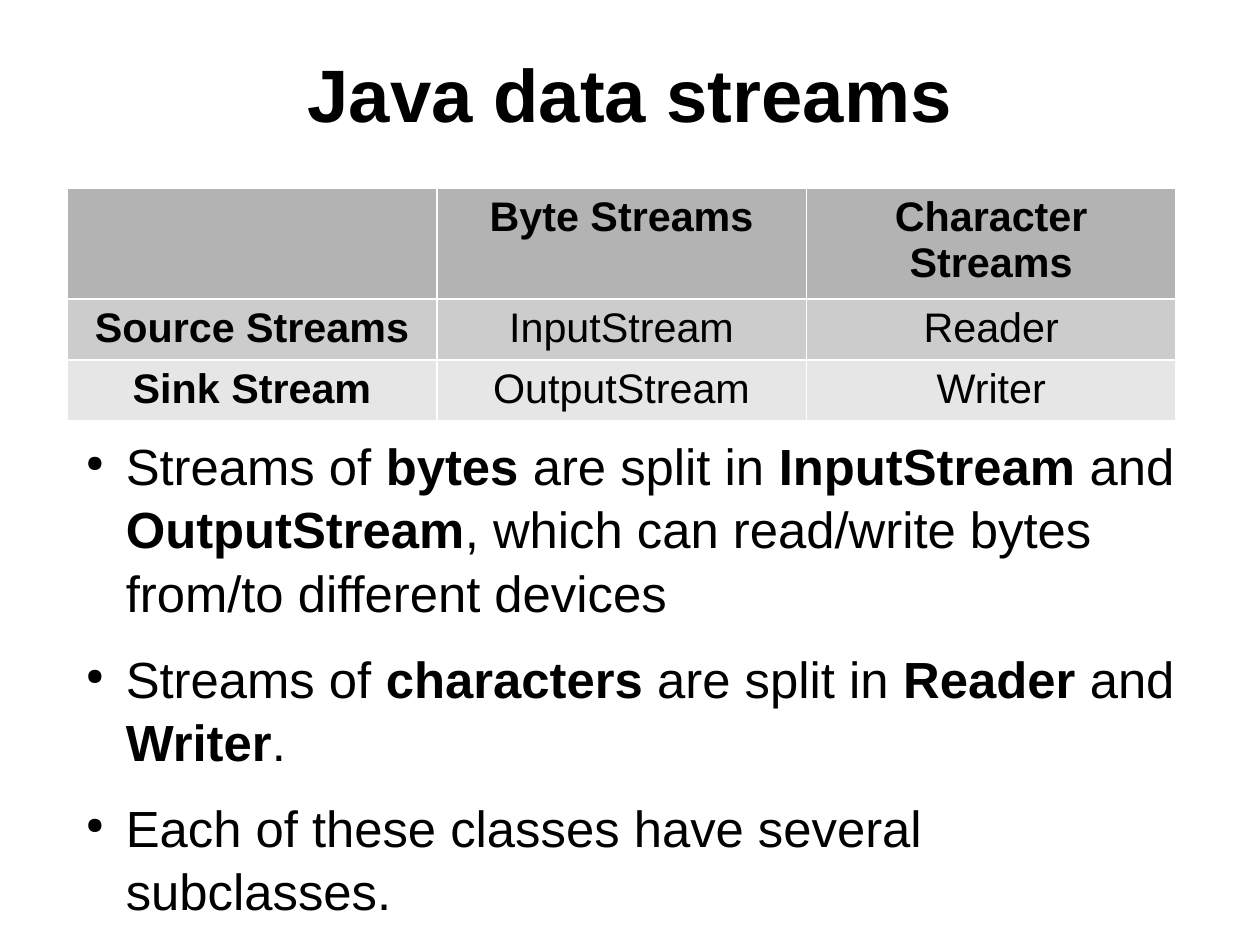
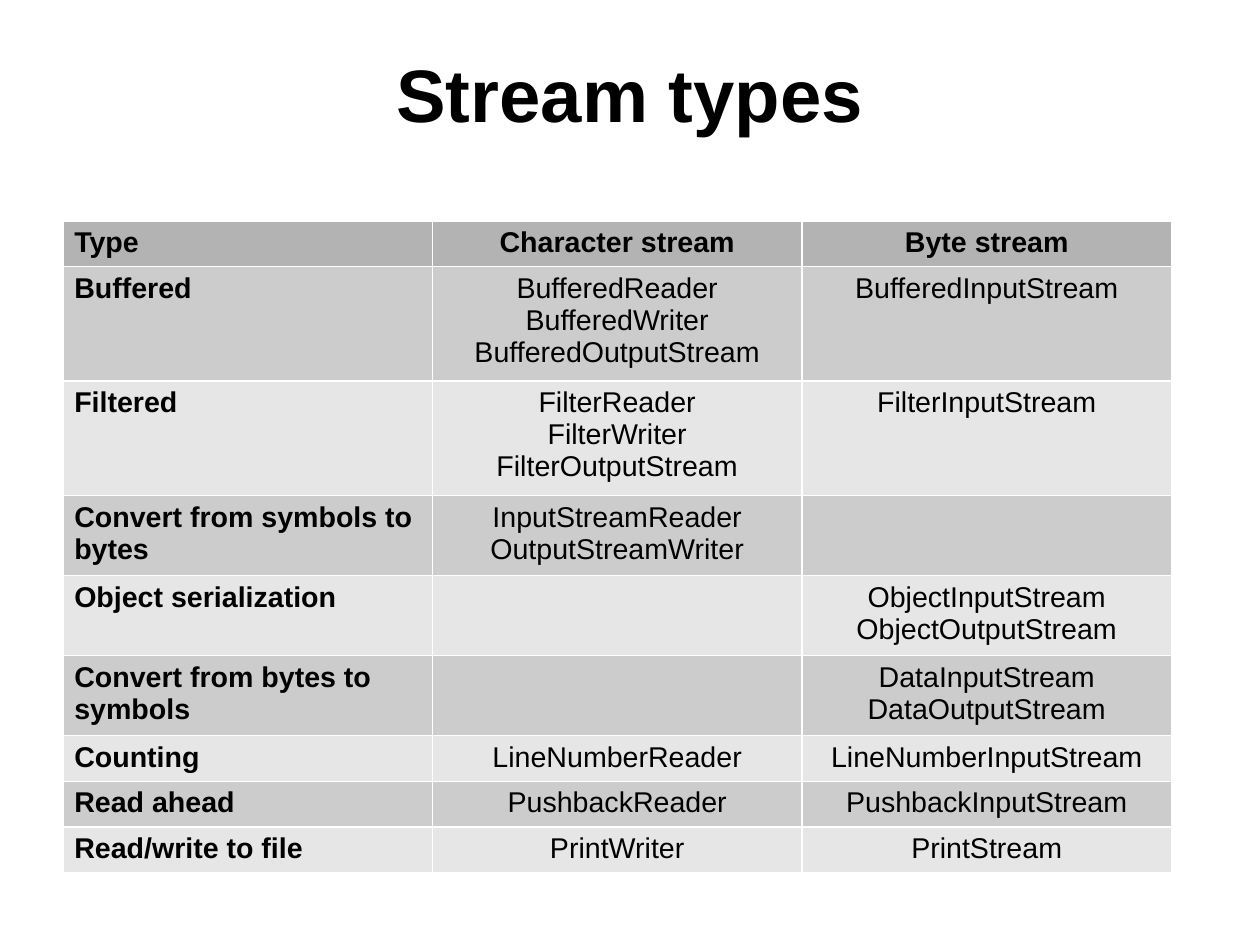
from dataclasses import dataclass
from typing import Any

from lxml import etree
from pptx import Presentation
from pptx.dml.color import RGBColor
from pptx.enum.text import MSO_ANCHOR, PP_ALIGN
from pptx.oxml.ns import qn
from pptx.util import Pt

CENTER, LEFT = PP_ALIGN.CENTER, PP_ALIGN.LEFT
MIDDLE, TOP = MSO_ANCHOR.MIDDLE, MSO_ANCHOR.TOP

# Shared look
FONT = "Arial"
INK, HEADER_FILL = "000000", "B3B3B3"
BAND_FILLS = ("CCCCCC", "E6E6E6")
SLIDE_WIDTH, SLIDE_HEIGHT = 793.7, 595.3
TITLE_SIZE, BODY_SIZE = 46.8, 32
CELL_MARGINS = {"margin_left": Pt(7.2), "margin_right": Pt(7.2),
                "margin_top": Pt(3.6), "margin_bottom": Pt(3.6)}
FRAME_FORMAT = {"word_wrap": True, "margin_left": 0, "margin_right": 0,
                "margin_top": 0, "margin_bottom": 0}
BULLET_SPACING = {"space_after": Pt(14.2), "line_spacing": 1.04}


@dataclass(frozen=True)
class Box:
    left: float
    top: float
    width: float
    height: float


@dataclass(frozen=True)
class StreamTable:
    left: float
    top: float
    size: float
    line_height: float
    label_align: Any
    rows: tuple[tuple[str, ...], ...]
    column_width: float = 232.8

    def row_height(self, row: tuple[str, ...]) -> float:
        """Header and label texts that wrap take two lines."""
        wrapped = any(len(text) > 24 or text == "Character Streams" for text in row
                      if "\n" not in text)
        lines = max(text.count("\n") + 1 for text in row)
        return self.line_height * max(lines, 1 + wrapped) + 7.2


TITLE_BOX = Box(39.6, 23.8, 714.2, 69.8)
BULLETS_BOX = Box(45.4, 272.2, 698.4, 315)


def color(hex_value: str) -> RGBColor:
    return RGBColor.from_string(hex_value)


def apply(target: Any, values: dict[str, Any]) -> None:
    for name, value in values.items():
        setattr(target, name, value)


def add_runs(paragraph: Any, text: str, size: float, bold: bool = False) -> None:
    """Write text; parts between ** marks are bold."""
    for index, part in enumerate(text.split("**")):
        if part:
            run = paragraph.add_run()
            run.text = part
            apply(run.font, {"name": FONT, "size": Pt(size),
                             "bold": bold or index % 2 == 1})
            run.font.color.rgb = color(INK)


def add_frame(slide: Any, box: Box, anchor: Any) -> Any:
    frame = slide.shapes.add_textbox(
        Pt(box.left), Pt(box.top), Pt(box.width), Pt(box.height)).text_frame
    apply(frame, {**FRAME_FORMAT, "vertical_anchor": anchor})
    return frame


def add_title(slide: Any, title: str) -> None:
    paragraph = add_frame(slide, TITLE_BOX, MIDDLE).paragraphs[0]
    paragraph.alignment = CENTER
    add_runs(paragraph, title, TITLE_SIZE, bold=True)


def add_bullet(paragraph: Any) -> None:
    properties = paragraph._p.get_or_add_pPr()
    properties.set("marL", str(Pt(33.84)))
    properties.set("indent", str(Pt(-25.2)))
    bullet_color = etree.SubElement(properties, qn("a:buClr"))
    etree.SubElement(bullet_color, qn("a:srgbClr"), val=INK)
    etree.SubElement(properties, qn("a:buSzPct"), val="45000")
    etree.SubElement(properties, qn("a:buChar"), char="●")


def add_bullets(slide: Any, bullets: tuple[str, ...]) -> None:
    frame = add_frame(slide, BULLETS_BOX, TOP)
    for index, text in enumerate(bullets):
        paragraph = frame.add_paragraph() if index else frame.paragraphs[0]
        apply(paragraph, BULLET_SPACING)
        add_bullet(paragraph)
        add_runs(paragraph, text, BODY_SIZE)


def fill_cell(cell: Any, text: str, size: float, align: Any, bold: bool,
              fill: str) -> None:
    apply(cell, CELL_MARGINS)
    cell.fill.solid()
    cell.fill.fore_color.rgb = color(fill)
    for index, line in enumerate(text.split("\n")):
        frame = cell.text_frame
        paragraph = frame.add_paragraph() if index else frame.paragraphs[0]
        paragraph.alignment = align
        add_runs(paragraph, line, size, bold)


def add_stream_table(slide: Any, streams: StreamTable) -> None:
    heights = [streams.row_height(row) for row in streams.rows]
    columns = len(streams.rows[0])
    table = slide.shapes.add_table(
        len(heights), columns, Pt(streams.left), Pt(streams.top),
        Pt(streams.column_width * columns), Pt(sum(heights))).table
    for column in table.columns:
        column.width = Pt(streams.column_width)
    for r, (row, height) in enumerate(zip(streams.rows, heights)):
        table.rows[r].height = Pt(height)
        fill = BAND_FILLS[(r - 1) % 2] if r else HEADER_FILL
        for c, text in enumerate(row):
            align = CENTER if c else streams.label_align
            fill_cell(table.cell(r, c), text, streams.size, align,
                      r == 0 or c == 0, fill)


# Content
DATA_STREAMS = StreamTable(42.5, 118.8, 26, 29.2, CENTER, (
    ("", "Byte Streams", "Character Streams"),
    ("Source Streams", "InputStream", "Reader"),
    ("Sink Stream", "OutputStream", "Writer"),
))
STREAM_BULLETS = (
    "Streams of **bytes** are split in **InputStream** and **OutputStream**, "
    "which can read/write bytes from/to different devices",
    "Streams of **characters** are split in **Reader** and **Writer**.",
    "Each of these classes have several subclasses.",
)
STREAM_TYPES = StreamTable(39.6, 139.2, 18, 21.6, LEFT, (
    ("Type", "Character stream", "Byte stream"),
    ("Buffered", "BufferedReader\nBufferedWriter\nBufferedOutputStream",
     "BufferedInputStream"),
    ("Filtered", "FilterReader\nFilterWriter\nFilterOutputStream",
     "FilterInputStream"),
    ("Convert from symbols to bytes", "InputStreamReader\nOutputStreamWriter", ""),
    ("Object serialization", "", "ObjectInputStream\nObjectOutputStream"),
    ("Convert from bytes to symbols", "", "DataInputStream\nDataOutputStream"),
    ("Counting", "LineNumberReader", "LineNumberInputStream"),
    ("Read ahead", "PushbackReader", "PushbackInputStream"),
    ("Read/write to file", "PrintWriter", "PrintStream"),
))

# Slides
deck = Presentation()
apply(deck, {"slide_width": Pt(SLIDE_WIDTH), "slide_height": Pt(SLIDE_HEIGHT)})
blank_layout = deck.slide_layouts[6]

data_streams_slide = deck.slides.add_slide(blank_layout)
add_title(data_streams_slide, "Java data streams")
add_bullets(data_streams_slide, STREAM_BULLETS)
add_stream_table(data_streams_slide, DATA_STREAMS)

stream_types_slide = deck.slides.add_slide(blank_layout)
add_title(stream_types_slide, "Stream types")
add_stream_table(stream_types_slide, STREAM_TYPES)

deck.save("out.pptx")
